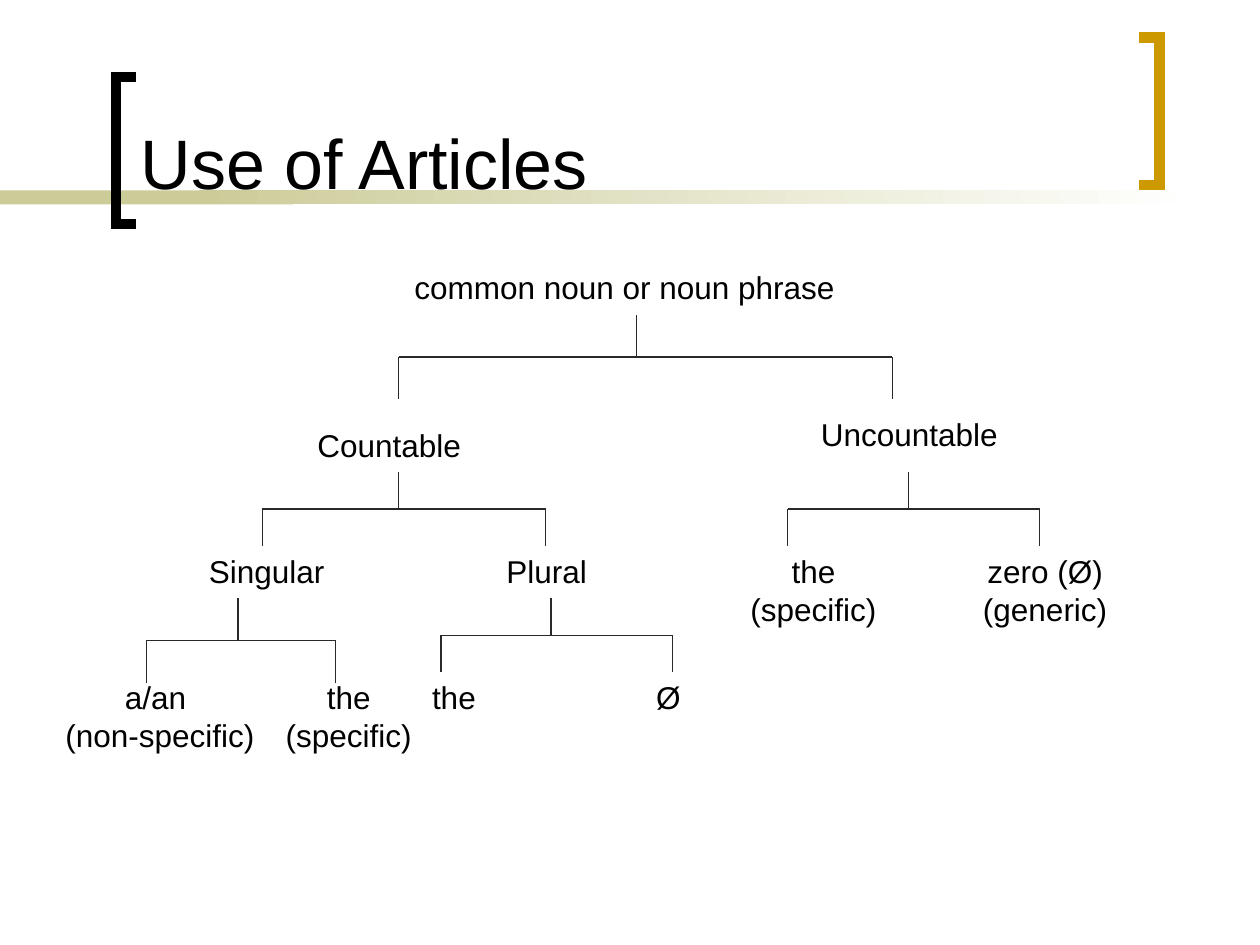
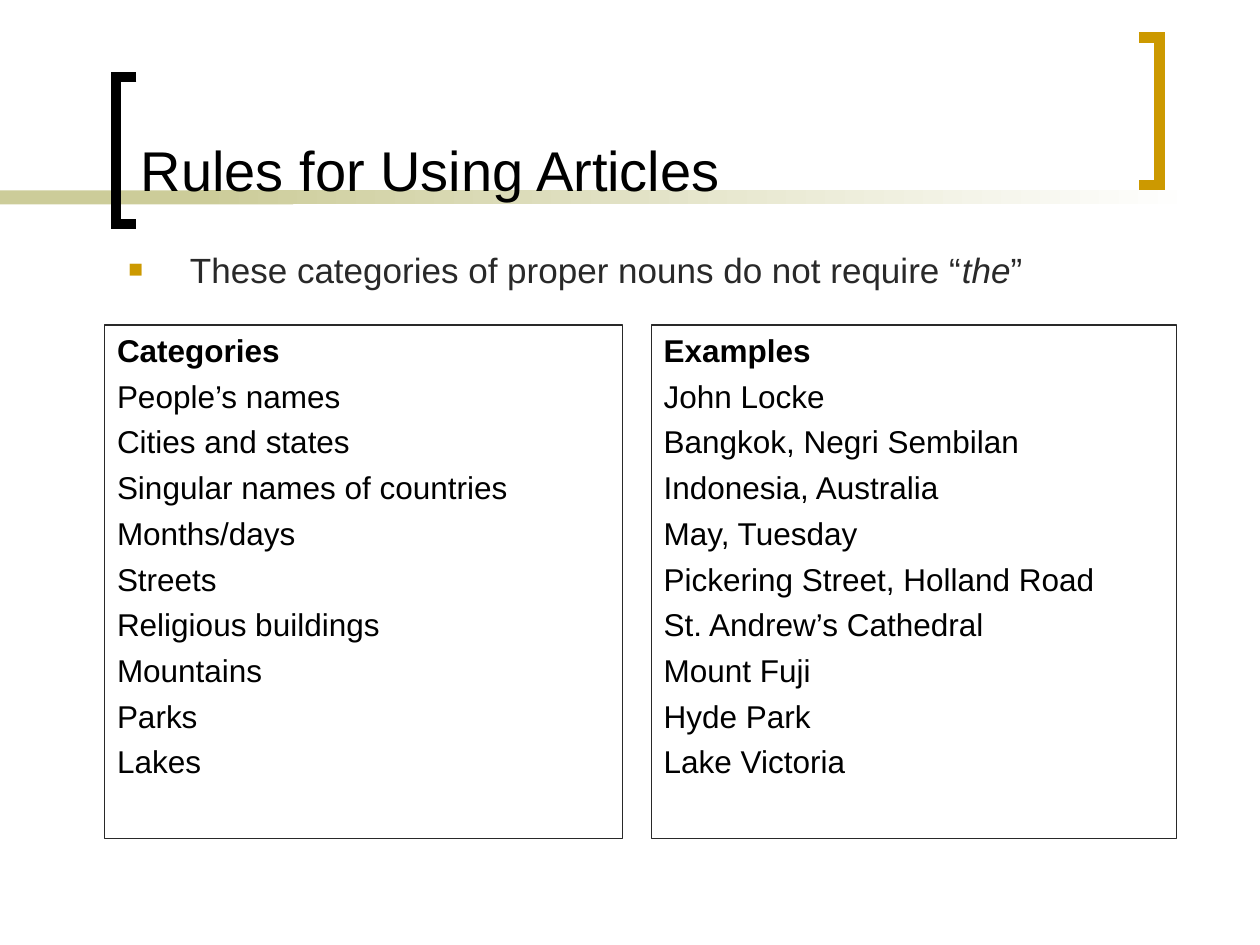
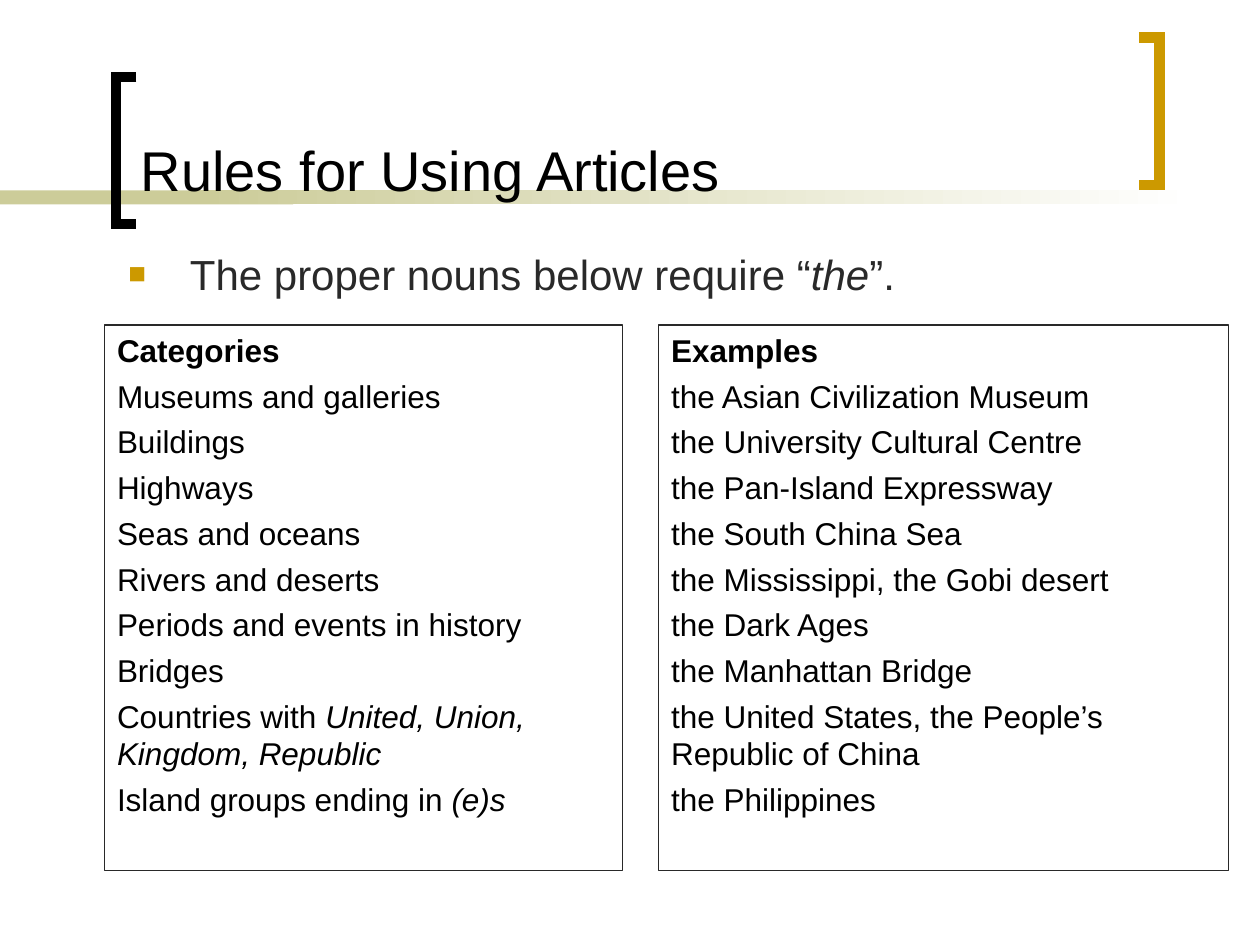
import pptx
import pptx.dml.color
import pptx.enum.shapes
import pptx.enum.text
import pptx.oxml
import pptx.oxml.ns
import pptx.util
from lxml import etree

Cm, Pt = pptx.util.Cm, pptx.util.Pt
RGB = pptx.dml.color.RGBColor.from_string
RECT = pptx.enum.shapes.MSO_SHAPE.RECTANGLE
LINE = pptx.enum.shapes.MSO_CONNECTOR.STRAIGHT
LEFT = pptx.enum.text.PP_ALIGN.LEFT
CENTER = pptx.enum.text.PP_ALIGN.CENTER
TOP = pptx.enum.text.MSO_ANCHOR.TOP
BOTTOM = pptx.enum.text.MSO_ANCHOR.BOTTOM
qn = pptx.oxml.ns.qn

COLORS = {
    "black": "000000",
    "ink": "292929",
    "band": "CCCC99",
    "gold": "CC9900",
    "white": "FFFFFF",
}
FONT = "Arial"


def write(shape, lines, size, color="black", align=LEFT, anchor=TOP, before=0):
    """Fill a shape with one paragraph per line; *asterisks* mark italics."""
    tf = shape.text_frame
    tf.word_wrap = True
    tf.vertical_anchor = anchor
    for i, line in enumerate(lines):
        p = tf.paragraphs[0] if i == 0 else tf.add_paragraph()
        p.alignment = align
        p.space_before = Pt(before)
        p.font.name = FONT
        p.font.size = Pt(size)
        p.font.color.rgb = RGB(COLORS[color])
        for j, part in enumerate(line.split("*")):
            if part:
                r = p.add_run()
                r.text = part
                if j % 2:
                    r.font.italic = True
    return tf


def add_titled_slide(title, size):
    """Add a slide with the band, the two brackets and the title."""
    s = prs.slides.add_slide(prs.slide_layouts[6])
    for left, width in ((0, 5.91), (4.02, 20.11)):
        band = s.shapes.add_shape(RECT, Cm(left), Cm(3.84), Cm(width), Cm(0.28))
        band.shadow.inherit = False
        band.line.fill.background()
        if left == 0:
            band.fill.solid()
            band.fill.fore_color.rgb = RGB(COLORS["band"])
        else:
            band.fill.gradient()
            band.fill.gradient_angle = 0
            for stop, color in zip(band.fill.gradient_stops, ("band", "white")):
                stop.color.rgb = RGB(COLORS[color])

    for tip, spine, top, color in ((2.75, 2.34, 1.55, "black"),
                                   (22.96, 23.37, 0.76, "gold")):
        bottom = top + 2.97
        builder = s.shapes.build_freeform(Cm(tip), Cm(top))
        builder.add_line_segments(
            [(Cm(x), Cm(y)) for x, y in ((spine, top), (spine, bottom), (tip, bottom))],
            close=False)
        bracket = builder.convert_to_shape()
        bracket.shadow.inherit = False
        bracket.fill.background()
        bracket.line.width = Pt(6)
        bracket.line.color.rgb = RGB(COLORS[color])
        ln = bracket.line._get_or_add_ln()
        etree.SubElement(ln, qn("a:miter"), lim="800000")

    box = s.shapes.add_textbox(Cm(2.59), Cm(0.28), Cm(19.89), Cm(3.94))
    write(box, [title], size, anchor=BOTTOM)
    return s


prs = pptx.Presentation()
prs.slide_width, prs.slide_height = Cm(25.4), Cm(19.05)

# Slide 1: tree of articles
s = add_titled_slide("Use of Articles", 40)

labels = [  # lines, left, top, width, alignment
    (["common noun or noun phrase"], 7.19, 5.28, 10.8, CENTER),
    (["Countable"], 6.15, 8.46, 5.5, LEFT),
    (["Uncountable"], 16.3, 8.25, 7.4, LEFT),
    (["Singular"], 3.96, 11, 3, LEFT),
    (["Plural"], 9.96, 11, 2.5, LEFT),
    (["a/an ", "(non-specific)"], 0.94, 13.55, 4.57, CENTER),
    (["the", "(specific)"], 5.38, 13.55, 3.3, CENTER),
    (["the"], 8.46, 13.55, 1.6, LEFT),
    (["Ø"], 11.25, 13.55, 4.45, CENTER),
    (["the", "(specific)"], 14.8, 11, 3.2, CENTER),
    (["zero (Ø)", "(generic)"], 19.47, 11, 3.2, CENTER),
]
for lines, left, top, width, align in labels:
    box = s.shapes.add_textbox(Cm(left), Cm(top), Cm(width),
                               Cm(0.25 + 0.76 * len(lines)))
    write(box, lines, 18, align=align)

forks = [  # stem, left branch, right branch, top, bottom
    (12.83, 8.04, 17.99, 6.35, 8.04),
    (8.04, 5.29, 11, 9.52, 11),
    (4.8, 2.96, 6.77, 12.06, 13.76),
    (11.11, 8.89, 13.55, 12.06, 13.55),
    (18.31, 15.88, 20.96, 9.52, 11),
]
for stem, left, right, top, bottom in forks:
    middle = (top + bottom) / 2
    group = s.shapes.add_group_shape()
    for x1, y1, x2, y2 in ((stem, top, stem, middle),
                           (left, middle, right, middle),
                           (left, middle, left, bottom),
                           (right, middle, right, bottom)):
        branch = group.shapes.add_connector(LINE, Cm(x1), Cm(y1), Cm(x2), Cm(y2))
        branch.line.width = Pt(0.75)
        branch.line.color.rgb = RGB(COLORS["ink"])
        etree.SubElement(branch._element.spPr, qn("a:effectLst"))

# Slides 2 and 3: rules with categories and examples
rules = [
    {
        "rule": "These categories of proper nouns do not require “*the*”",
        "size": 20, "height": 10.36, "examples_at": (13.13, 10.59),
        "rows": [
            ("Categories", "Examples"),
            ("People’s names", "John Locke"),
            ("Cities and states", "Bangkok, Negri Sembilan"),
            ("Singular names of countries", "Indonesia, Australia"),
            ("Months/days", "May, Tuesday"),
            ("Streets", "Pickering Street, Holland Road"),
            ("Religious buildings", "St. Andrew’s Cathedral"),
            ("Mountains", "Mount Fuji"),
            ("Parks", "Hyde Park"),
            ("Lakes", "Lake Victoria"),
        ],
    },
    {
        "rule": "The proper nouns below require “*the*”.",
        "size": 24, "height": 11, "examples_at": (13.28, 11.48),
        "rows": [
            ("Categories", "Examples"),
            ("Museums and galleries", "the Asian Civilization Museum"),
            ("Buildings", "the University Cultural Centre"),
            ("Highways", "the Pan-Island Expressway"),
            ("Seas and oceans", "the South China Sea"),
            ("Rivers and deserts", "the Mississippi, the Gobi desert"),
            ("Periods and events in history", "the Dark Ages"),
            ("Bridges", "the Manhattan Bridge"),
            ("Countries with *United, Union, Kingdom, Republic*",
             "the United States, the People’s Republic of China"),
            ("Island groups ending in *(e)s*", "the Philippines"),
        ],
    },
]
for rule in rules:
    s = add_titled_slide("Rules for Using Articles", 32)
    box = s.shapes.add_textbox(Cm(2.34), Cm(4.88), Cm(20.96), Cm(1.47))
    tf = write(box, [rule["rule"]], rule["size"], "ink", before=rule["size"] / 4)
    pPr = tf.paragraphs[0]._p.get_or_add_pPr()
    pPr.set("marL", str(Cm(1.24)))
    pPr.set("indent", str(-Cm(1.24)))
    bullet = pptx.oxml.parse_xml(
        f'<a:pPr {pptx.oxml.ns.nsdecls("a")}>'
        f'<a:buClr><a:srgbClr val="{COLORS["gold"]}"/></a:buClr>'
        f'<a:buSzPct val="70000"/><a:buFont typeface="{FONT}"/>'
        '<a:buChar char="■"/></a:pPr>')
    for part in list(bullet):
        pPr.find(qn("a:defRPr")).addprevious(part)

    for (left, width), lines in zip(((2.11, 10.44), rule["examples_at"]),
                                    zip(*rule["rows"])):
        panel = s.shapes.add_shape(RECT, Cm(left), Cm(6.55), Cm(width),
                                   Cm(rule["height"]))
        panel.shadow.inherit = False
        panel.fill.background()
        panel.line.width = Pt(0.75)
        panel.line.color.rgb = RGB(COLORS["ink"])
        tf = write(panel, lines, 18, before=4.5)
        tf.paragraphs[0].font.bold = True

prs.save("out.pptx")
